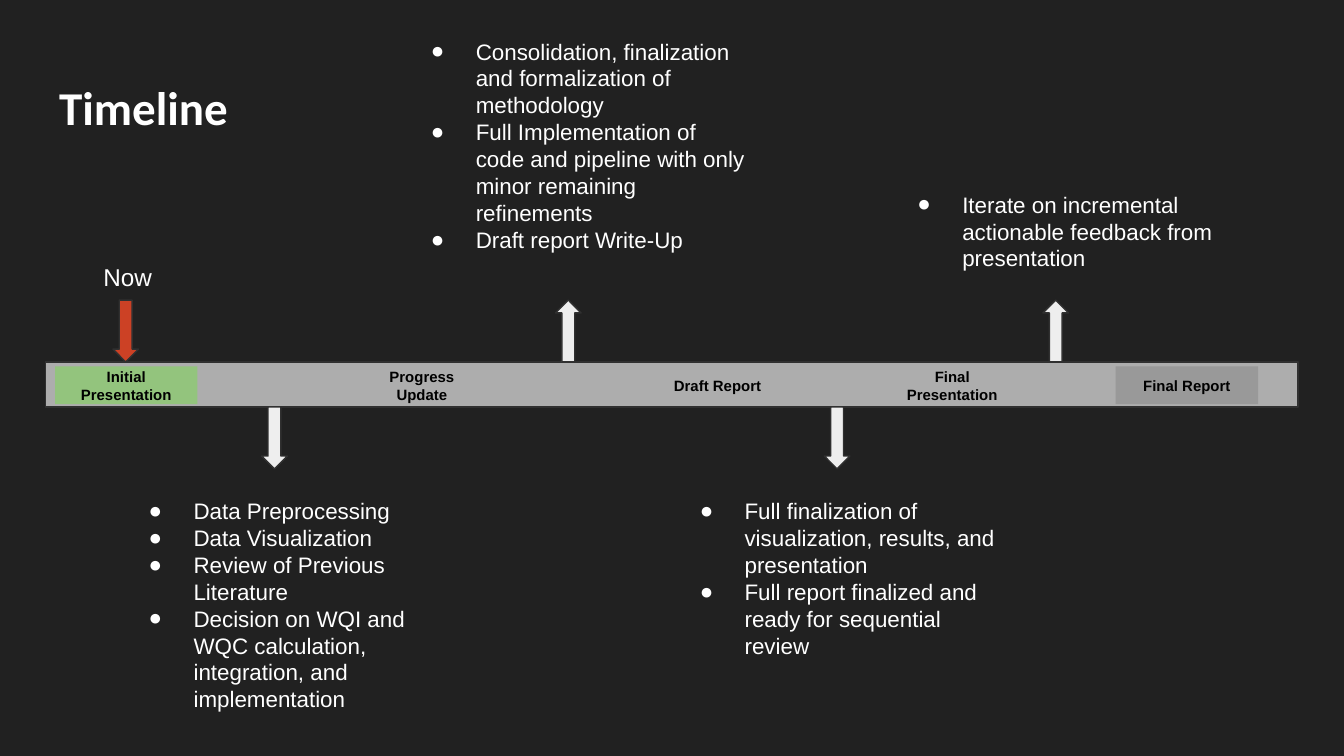
from lxml import etree
from pptx import Presentation
from pptx.dml.color import RGBColor
from pptx.enum.shapes import MSO_SHAPE
from pptx.enum.text import MSO_ANCHOR, MSO_AUTO_SIZE, PP_ALIGN
from pptx.oxml.ns import qn
from pptx.util import Pt

RECTANGLE, DOWN_ARROW = MSO_SHAPE.RECTANGLE, MSO_SHAPE.DOWN_ARROW
TOP, MIDDLE = MSO_ANCHOR.TOP, MSO_ANCHOR.MIDDLE
LEFT, CENTER = PP_ALIGN.LEFT, PP_ALIGN.CENTER
FIT_SHAPE, NO_FIT = MSO_AUTO_SIZE.SHAPE_TO_FIT_TEXT, MSO_AUTO_SIZE.NONE
COMPARISON_LAYOUT = 4
COLORS = {
    "background": "212121", "text": "FFFFFF", "label": "000000",
    "bar": "ADADAD", "outline": "303030", "current": "93C47D",
    "final": "999999", "now": "CC4125", "arrow": "EEEEEE",
}


def add_block(kind, left, top, width, height, fill, outlined):
    shape = slide.shapes.add_shape(kind, Pt(left), Pt(top), Pt(width), Pt(height))
    shape.shadow.inherit = False
    shape.fill.solid()
    shape.fill.fore_color.rgb = RGBColor.from_string(COLORS[fill])
    if outlined:
        shape.line.color.rgb = RGBColor.from_string(COLORS["outline"])
        shape.line.width = Pt(0.75)
    else:
        shape.line.fill.background()
    return shape


def write_text(shape, lines, size, color="text", bold=False, font="Arial",
               align=LEFT, anchor=TOP, fit=NO_FIT):
    frame = shape.text_frame
    frame.text = "\n".join(lines)
    frame.word_wrap = True
    frame.auto_size = fit
    frame.vertical_anchor = anchor
    frame.margin_left = frame.margin_right = Pt(7.2)
    frame.margin_top = frame.margin_bottom = Pt(7.2)
    for paragraph in frame.paragraphs:
        paragraph.alignment = align
        paragraph.space_before = Pt(0)
        paragraph.font.name = font
        paragraph.font.size = Pt(size)
        paragraph.font.bold = bold
        paragraph.font.color.rgb = RGBColor.from_string(COLORS[color])


presentation = Presentation()
presentation.slide_width, presentation.slide_height = Pt(720), Pt(405)
slide = presentation.slides.add_slide(presentation.slide_layouts[COMPARISON_LAYOUT])
slide.background.fill.solid()
slide.background.fill.fore_color.rgb = RGBColor.from_string(COLORS["background"])

title = slide.shapes.title
title.left, title.top, title.width, title.height = Pt(24.5), Pt(35), Pt(671), Pt(45.5)
write_text(title, ["Timeline"], 25.2, bold=True, font="Calibri")

bar_left, bar_top, bar_width, bar_height = 24.5, 193.9, 671, 24.2
add_block(RECTANGLE, bar_left, bar_top, bar_width, bar_height, "bar", True)

milestones = [
    ("Initial Presentation", 29.5, "current"),
    ("Progress Update", 187.9, "bar"),
    ("Draft Report", 346.3, "bar"),
    ("Final Presentation", 472, "bar"),
    ("Final Report", 597.7, "final"),
]
for name, left, fill in milestones:
    milestone = add_block(RECTANGLE, left, 196.3, 76.3, 20.2, fill, False)
    write_text(milestone, [name], 8, "label", True, align=CENTER, anchor=MIDDLE)

arrow_width, arrow_height = 13.7, 33.1
above_bar, below_bar = bar_top - arrow_height, bar_top + bar_height
arrows = [
    (60.5, above_bar, "now", 0),
    (140.2, below_bar, "arrow", 0),
    (297.6, above_bar, "arrow", 180),
    (441.6, below_bar, "arrow", 0),
    (558.7, above_bar, "arrow", 180),
]
for left, top, fill, rotation in arrows:
    arrow = add_block(DOWN_ARROW, left, top, arrow_width, arrow_height, fill, True)
    arrow.rotation = rotation

now_label = slide.shapes.add_textbox(Pt(48.3), Pt(133.2), Pt(45.4), Pt(30.2))
write_text(now_label, ["Now"], 13, fit=FIT_SHAPE)

task_lists = [
    (60.5, 259.2, 173.5, 131, [
        "Data Preprocessing",
        "Data Visualization",
        "Review of Previous Literature",
        "Decision on WQI and WQC calculation, integration, and implementation",
    ]),
    (211.7, 13, 195, 131, [
        "Consolidation, finalization and formalization of methodology",
        "Full Implementation of code and pipeline with only minor remaining refinements",
        "Draft report Write-Up",
    ]),
    (355.7, 259.2, 185.8, 101.5, [
        "Full finalization of visualization, results, and presentation",
        "Full report finalized and ready for sequential review",
    ]),
    (472.3, 95, 185.8, 58.3, [
        "Iterate on incremental actionable feedback from presentation",
    ]),
]
for index, (left, top, width, height, tasks) in enumerate(task_lists, start=1):
    body = slide.placeholders[index]
    body.left, body.top, body.width, body.height = Pt(left), Pt(top), Pt(width), Pt(height)
    write_text(body, tasks, 12, fit=FIT_SHAPE)
    for paragraph in body.text_frame.paragraphs:
        properties = paragraph._p.get_or_add_pPr()
        properties.set("marL", str(Pt(36)))
        properties.set("indent", str(-Pt(24)))
        bullet_color = etree.Element(qn("a:buClr"))
        etree.SubElement(bullet_color, qn("a:srgbClr"), val=COLORS["text"])
        bullet = etree.Element(qn("a:buChar"), char="●")
        position = properties.index(properties.find(qn("a:defRPr")))
        properties[position:position] = [bullet_color, bullet]

presentation.save("out.pptx")
